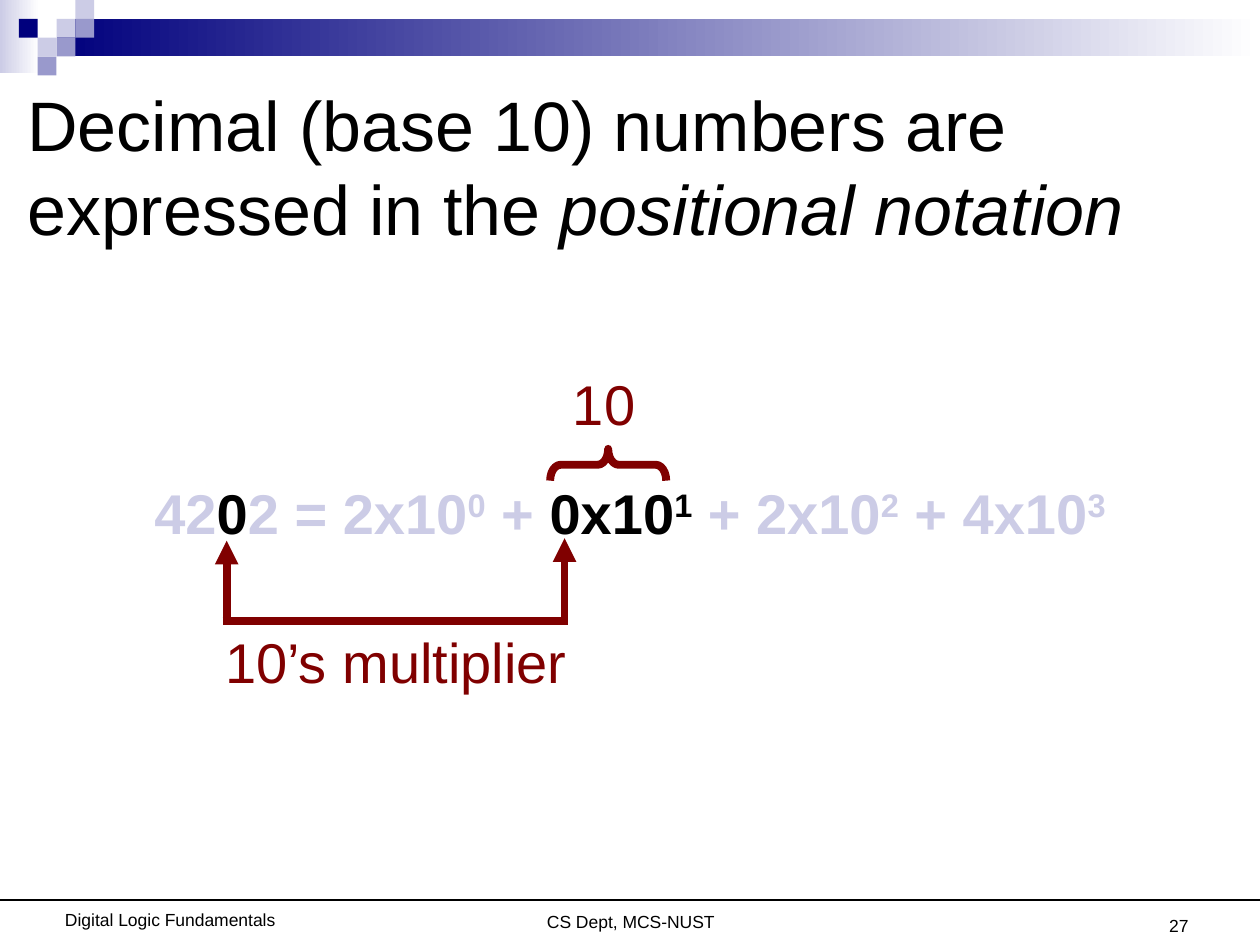
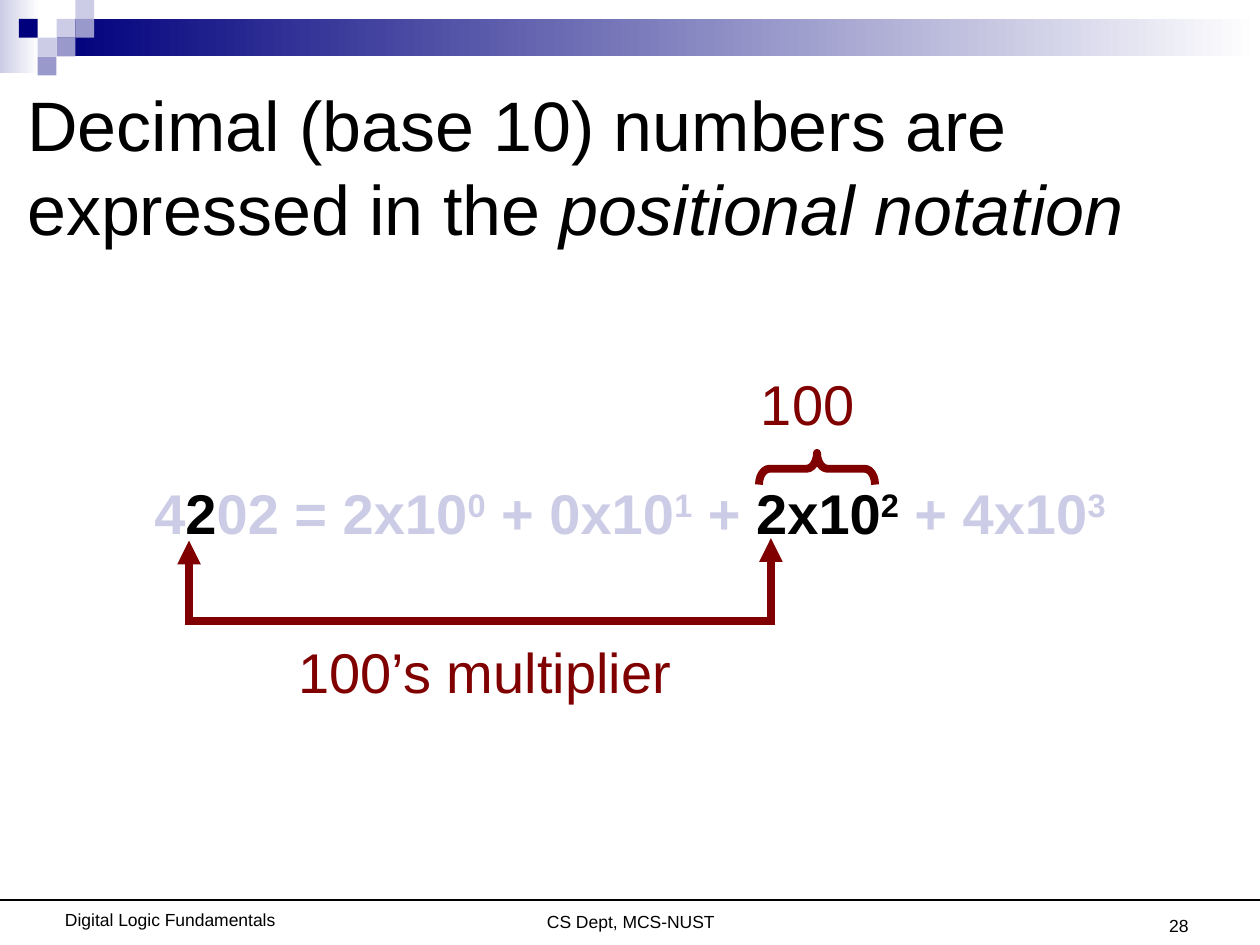
"""Two slides that explain positional notation in base 10."""
from lxml import etree
from pptx import Presentation
from pptx.dml.color import RGBColor
from pptx.enum.shapes import MSO_CONNECTOR, MSO_SHAPE
from pptx.enum.text import MSO_ANCHOR, MSO_AUTO_SIZE, PP_ALIGN
from pptx.oxml.ns import qn
from pptx.util import Cm, Pt

FONT = "Arial"
BLACK, MAROON = "000000", "800000"
NAVY, BLUE, PALE, WHITE = "00007D", "9999CC", "CCCCE6", "FFFFFF"
TITLE = [("Decimal (base 10) numbers are expressed in the ", {}),
         ("positional notation", {"italic": True})]
FOOTERS = [("CS Dept, MCS-NUST", 7.42, 17.4, 10.59),
           ("Digital Logic Fundamentals", 0.89, 17.35, 5.08)]
BANDS = [(0, 0, 0.79, 1.47, PALE), (1.14, 0.38, 24.26, 0.76, NAVY)]
TILE = 0.38
TILES = [(3, 1, PALE), (4, 0, PALE), (4, 1, BLUE), (2, 2, PALE),
         (1, 1, NAVY), (3, 2, BLUE), (2, 3, BLUE)]
DIGITS = "4202"
BRACE_W, BRACE_H = 0.64, 2.34
SLIDES = [
    {"number": 27, "power": 1, "digit_x": 4.57, "term_x": 11.38,
     "brace_center": (12.26, 9.37), "weight_at": (11.3, 1.85),
     "label_at": (4.29, 12.52, 7.5)},
    {"number": 28, "power": 2, "digit_x": 3.81, "term_x": 15.54,
     "brace_center": (16.47, 9.45), "weight_at": (15.09, 2.5),
     "label_at": (5.77, 12.73, 8.15)},
]


def rgb(color):
    return RGBColor.from_string(color)


def add_text(s, runs, x, y, w, h, size, color=BLACK, align=PP_ALIGN.LEFT,
             anchor=MSO_ANCHOR.TOP, wrap=True, top=0.13):
    tb = s.shapes.add_textbox(Cm(x), Cm(y), Cm(w), Cm(h))
    tf = tb.text_frame
    tf.word_wrap, tf.vertical_anchor, tf.margin_top = wrap, anchor, Cm(top)
    if not wrap:
        tf.auto_size = MSO_AUTO_SIZE.SHAPE_TO_FIT_TEXT
    p = tf.paragraphs[0]
    p.alignment = align
    for text, style in runs:
        r = p.add_run()
        r.text = text
        r.font.name, r.font.size = FONT, Pt(size)
        r.font.bold, r.font.italic = style.get("bold"), style.get("italic")
        r.font.color.rgb = rgb(style.get("color", color))
        if style.get("raised"):
            r.font._element.set("baseline", "30000")


def add_rect(s, x, y, w, h, color, fade=False):
    sp = s.shapes.add_shape(MSO_SHAPE.RECTANGLE, Cm(x), Cm(y), Cm(w), Cm(h))
    sp.shadow.inherit = False
    sp.line.fill.background()
    if fade:
        sp.fill.gradient()
        sp.fill.gradient_angle = 0
        for stop, c, pos in zip(sp.fill.gradient_stops, (color, WHITE), (0, 1)):
            stop.color.rgb, stop.position = rgb(c), pos
    else:
        sp.fill.solid()
        sp.fill.fore_color.rgb = rgb(color)


def add_line(s, x1, y1, x2, y2, color, width, arrow=False):
    line = s.shapes.add_connector(MSO_CONNECTOR.STRAIGHT,
                                  Cm(x1), Cm(y1), Cm(x2), Cm(y2))
    line.line.color.rgb, line.line.width = rgb(color), Pt(width)
    if arrow:
        etree.SubElement(line.line._get_or_add_ln(), qn("a:tailEnd"), type="triangle")
    etree.SubElement(line._element.spPr, qn("a:effectLst"))


def add_brace(s, x, y):
    sp = s.shapes.add_shape(MSO_SHAPE.LEFT_BRACE, Cm(x - BRACE_W / 2),
                            Cm(y - BRACE_H / 2), Cm(BRACE_W), Cm(BRACE_H))
    sp.rotation = 90
    sp.adjustments[0] = 0.33
    sp.shadow.inherit = False
    sp.fill.background()
    sp.line.color.rgb, sp.line.width = rgb(MAROON), Pt(4.5)


def equation(power):
    """Return the runs of the expansion with one digit and its term in black."""
    def style(k, **more):
        return {"bold": True, "color": BLACK if k == power else PALE, **more}

    top = len(DIGITS) - 1
    runs = [(d, style(top - i)) for i, d in enumerate(DIGITS)]
    for k, d in enumerate(reversed(DIGITS)):
        runs += [(" + " if k else " = ", style(None)),
                 (f"{d}x10", style(k)), (str(k), style(k, raised=True))]
    return runs


def add_frame(s, number):
    for band in BANDS:
        add_rect(s, *band, fade=True)
    for col, row, color in TILES:
        add_rect(s, col * TILE, row * TILE, TILE, TILE, color)
    for text, x, y, w in FOOTERS:
        add_text(s, [(text, {})], x, y, w, 1.27, 10, align=PP_ALIGN.CENTER, top=0.97)
    add_line(s, 0, 18.14, 25.4, 18.14, BLACK, 0.75)
    add_text(s, [(str(number), {})], 18.29, 17.73, 5.92, 1.27, 10,
             align=PP_ALIGN.RIGHT, anchor=MSO_ANCHOR.BOTTOM)
    add_text(s, TITLE, 0.3, 1.75, 25.4, 3.18, 40, anchor=MSO_ANCHOR.MIDDLE)


def add_callout(s, power, digit_x, term_x, brace_center, weight_at, label_at):
    weight = str(10 ** power)
    add_line(s, digit_x, 12.57, digit_x, 10.9, MAROON, 4.5, arrow=True)
    add_line(s, digit_x - 0.08, 12.52, term_x + 0.08, 12.52, MAROON, 4.5)
    add_line(s, term_x, 12.55, term_x, 10.85, MAROON, 4.5, arrow=True)
    x, y, w = label_at
    add_text(s, [(f"{weight}’s multiplier", {})], x, y, w, 1.63, 32, MAROON, wrap=False)
    add_brace(s, *brace_center)
    x, w = weight_at
    add_text(s, [(weight, {})], x, 7.32, w, 1.63, 32, MAROON, wrap=False)


def main():
    prs = Presentation()
    prs.slide_width, prs.slide_height = Cm(25.4), Cm(19.05)
    for item in SLIDES:
        s = prs.slides.add_slide(prs.slide_layouts[6])
        callout = dict(item)
        add_frame(s, callout.pop("number"))
        add_text(s, equation(item["power"]), 0, 5.51, 25.4, 11.43, 32,
                 align=PP_ALIGN.CENTER, top=4.14)
        add_callout(s, **callout)
    prs.save("out.pptx")


if __name__ == "__main__":
    main()
